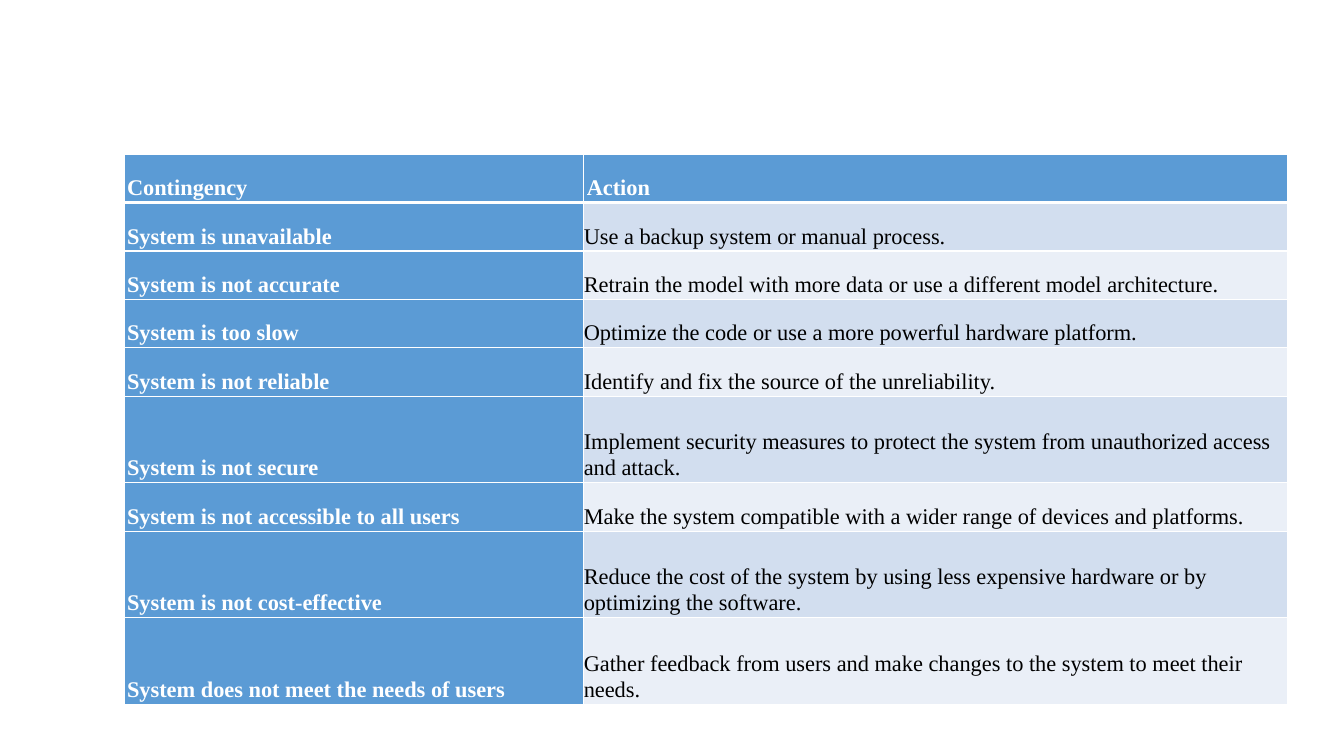
from dataclasses import dataclass

from lxml import etree
from pptx import Presentation
from pptx.dml.color import RGBColor
from pptx.enum.text import MSO_ANCHOR
from pptx.oxml.ns import qn
from pptx.table import _Cell
from pptx.util import Inches, Pt

BOTTOM = MSO_ANCHOR.BOTTOM
WHITE = RGBColor(0xFF, 0xFF, 0xFF)
BLACK = RGBColor(0x00, 0x00, 0x00)
BLUE = RGBColor(0x5B, 0x9B, 0xD5)
BANDS = (RGBColor(0xEA, 0xEF, 0xF7), RGBColor(0xD2, 0xDE, 0xEF))
FONT = "Times New Roman"
WIDTHS = (4.56, 6.98)
SHORT, TALL = 0.48, 0.86


@dataclass(frozen=True)
class Plan:
    risk: str
    action: str
    height: float = SHORT


@dataclass(frozen=True)
class Style:
    fill: RGBColor
    color: RGBColor
    bold: bool
    inset: float


HEAD = Style(BLUE, WHITE, True, 0.03)
PLANS = (
    Plan("Contingency", "Action"),
    Plan("System is unavailable", "Use a backup system or manual process."),
    Plan("System is not accurate",
         "Retrain the model with more data or use a different model architecture."),
    Plan("System is too slow",
         "Optimize the code or use a more powerful hardware platform."),
    Plan("System is not reliable",
         "Identify and fix the source of the unreliability."),
    Plan("System is not secure",
         "Implement security measures to protect the system from "
         "unauthorized access and attack.", TALL),
    Plan("System is not accessible to all users",
         "Make the system compatible with a wider range of devices and platforms."),
    Plan("System is not cost-effective",
         "Reduce the cost of the system by using less expensive hardware "
         "or by optimizing the software.", TALL),
    Plan("System does not meet the needs of users",
         "Gather feedback from users and make changes to the system "
         "to meet their needs.", TALL),
)


def add_borders(cell: _Cell, top: float, bottom: float) -> None:
    props = cell._tc.get_or_add_tcPr()
    sides = (("L", 1), ("R", 1), ("T", top), ("B", bottom))
    for spot, (side, width) in enumerate(sides):
        line = etree.Element(qn(f"a:ln{side}"), w=str(Pt(width)))
        fill = etree.SubElement(line, qn("a:solidFill"))
        etree.SubElement(fill, qn("a:srgbClr"), val=str(WHITE))
        props.insert(spot, line)


def fill_cell(cell: _Cell, text: str, style: Style) -> None:
    cell.fill.solid()
    cell.fill.fore_color.rgb = style.fill
    cell.vertical_anchor = BOTTOM
    cell.margin_left = cell.margin_right = Inches(style.inset)
    cell.margin_top = cell.margin_bottom = Inches(0.02)
    para = cell.text_frame.paragraphs[0]
    para.line_spacing = 1.07
    para.space_after = Pt(8)
    run = para.add_run()
    run.text = text
    run.font.name = FONT
    run.font.size = Pt(16)
    run.font.bold = style.bold
    run.font.color.rgb = style.color


def main() -> None:
    deck = Presentation()
    deck.slide_width, deck.slide_height = Inches(13.33), Inches(7.5)
    slide = deck.slides.add_slide(deck.slide_layouts[6])
    height = sum(plan.height for plan in PLANS)
    table = slide.shapes.add_table(
        len(PLANS), len(WIDTHS), Inches(1.23), Inches(1.53),
        Inches(sum(WIDTHS)), Inches(height)).table
    for column, width in zip(table.columns, WIDTHS):
        column.width = Inches(width)
    for row, plan in enumerate(PLANS):
        table.rows[row].height = Inches(plan.height)
        body = Style(BANDS[row % 2], BLACK, False, 0) if row else HEAD
        pairs = ((plan.risk, HEAD), (plan.action, body))
        for col, (text, style) in enumerate(pairs):
            cell = table.cell(row, col)
            fill_cell(cell, text, style)
            add_borders(cell, 3 if row == 1 else 1, 3 if row == 0 else 1)
    deck.save("out.pptx")


if __name__ == "__main__":
    main()
